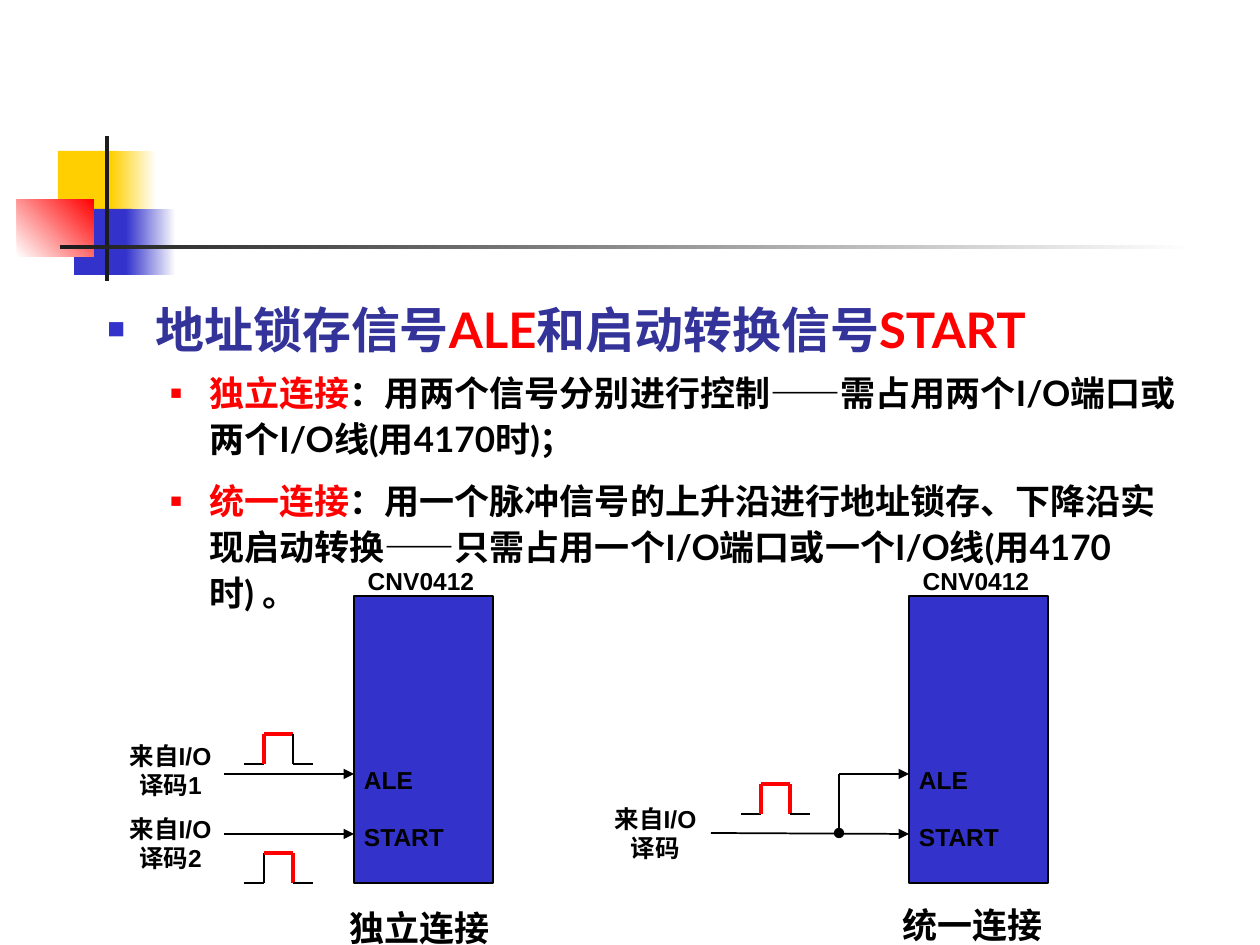
import pptx
import pptx.dml.color
import pptx.enum.shapes
import pptx.enum.text
import pptx.oxml.ns
import pptx.util
from lxml import etree

SCALE = 914400 / 126
HUES = {
    "gold": "FFCF01", "blue": "3333CC", "navy": "333399", "red": "FF0000",
    "white": "FFFFFF", "dark": "1C1C1C", "black": "000000",
}
MID = pptx.enum.text.PP_ALIGN.CENTER
LEFT = pptx.enum.text.PP_ALIGN.LEFT
INSETS = ("margin_left", "margin_top", "margin_right", "margin_bottom")


def emu(*nums):
    """Turn px lengths into EMU."""
    return [round(num * SCALE) for num in nums]


def rgb(hue):
    """Look up a colour by name."""
    return pptx.dml.color.RGBColor.from_string(HUES[hue])


def apply(item, form):
    """Set each attribute of item from a dict of format values."""
    for key, val in form.items():
        setattr(item, key, val)


def node(home, tag, **attrs):
    """Append a drawing element to its parent."""
    return etree.SubElement(home, pptx.oxml.ns.qn("a:" + tag), attrs)


def rect(slide, box, hue, fade=None, angle=0, edge=None):
    """Draw a rectangle with a plain or fading fill."""
    kind = pptx.enum.shapes.MSO_SHAPE.RECTANGLE
    shape = slide.shapes.add_shape(kind, *emu(*box))
    shape.shadow.inherit = False
    if fade:
        shape.fill.gradient()
        shape.fill.gradient_angle = angle
        for stop, tone in zip(shape.fill.gradient_stops, (hue, fade)):
            stop.color.rgb = rgb(tone)
    else:
        shape.fill.solid()
        shape.fill.fore_color.rgb = rgb(hue)
    if edge:
        shape.line.color.rgb = rgb(edge)
        shape.line.width = pptx.util.Pt(1)
    else:
        shape.line.fill.background()


def wire(slide, start, end, hue="black", width=1, tip=None):
    """Draw a straight line, with a tip at its end if asked."""
    kind = pptx.enum.shapes.MSO_CONNECTOR.STRAIGHT
    line = slide.shapes.add_connector(kind, *emu(*start, *end))
    line.line.color.rgb = rgb(hue)
    line.line.width = pptx.util.Pt(width)
    props = line._element.spPr
    if tip:
        node(props.find(pptx.oxml.ns.qn("a:ln")), "tailEnd", type=tip)
    node(props, "effectLst")


def write(para, text, hue, size, face):
    """Add a bold run to a paragraph."""
    run = para.add_run()
    run.text = text
    apply(run.font, {"name": face, "size": pptx.util.Pt(size), "bold": True})
    run.font.color.rgb = rgb(hue)


def label(slide, box, rows, size=14, align=MID, gap=0):
    """Place a label without insets, one paragraph for each row."""
    frame = slide.shapes.add_textbox(*emu(*box)).text_frame
    apply(frame, {"word_wrap": True, **dict.fromkeys(INSETS, 0)})
    for num, row in enumerate(rows):
        para = frame.add_paragraph() if num else frame.paragraphs[0]
        para.alignment = align
        if num:
            para.space_before = pptx.util.Pt(gap)
        write(para, row, "black", size, "Arial")


def decor(slide, box):
    """Draw the coloured blocks and the fading rule."""
    left, top = box[:2]
    parts = [
        ((41, 15, 60, 66), "gold"),
        ((94, 15, 45, 66), "gold", "white"),
        ((57, 73, 58, 66), "blue"),
        ((109, 73, 50, 66), "blue", "white"),
        ((0, 63, 77, 58), "white", "red", 45),
        ((88, 0, 4, 145), "dark"),
        ((43, 109, 1134, 4), "dark", "white"),
    ]
    for (x, y, wide, high), *form in parts:
        rect(slide, (left + x, top + y, wide, high), *form)


def body(slide, box):
    """Write the bulleted text."""
    items = [
        (28, 48, 48, 0, 1.4, "blue", 60, [
            ("地址锁存信号", "navy"), ("ALE", "red"),
            ("和启动转换信号", "navy"), ("START", "red")]),
        (20, 102, 39, 4, 1, "red", 55, [
            ("独立连接", "red"),
            ("：用两个信号分别进行控制——需占用两个I/O端口或两个I/O线(用4170时)；", "black")]),
        (20, 102, 39, 8, 1, "red", 55, [
            ("统一连接", "red"),
            ("：用一个脉冲信号的上升沿进行地址锁存、下降沿实现启动转换——"
             "只需占用一个I/O端口或一个I/O线(用4170时) 。", "black")]),
    ]
    frame = slide.shapes.add_textbox(*emu(*box)).text_frame
    frame.word_wrap = True
    for num, (size, left, hang, fore, aft, dot, part, runs) in enumerate(items):
        para = frame.add_paragraph() if num else frame.paragraphs[0]
        props = para._p.get_or_add_pPr()
        props.set("marL", str(emu(left)[0]))
        props.set("indent", str(emu(-hang)[0]))
        node(node(props, "buClr"), "srgbClr", val=HUES[dot])
        node(props, "buSzPct", val=str(part * 1000))
        node(props, "buFont", typeface="Arial")
        node(props, "buChar", char="■")
        apply(para, {"line_spacing": 1.1, "space_after": pptx.util.Pt(aft)})
        if num:
            para.space_before = pptx.util.Pt(fore)
        for text, hue in runs:
            write(para, text, hue, size, "Lato")


def chip(slide, box):
    """Draw the converter with its name and pins."""
    x, y, wide, high = box
    rect(slide, box, "blue", edge="black")
    label(slide, (x, y - 30, 134, 29), ["CNV0412"])
    label(slide, (x + 10, y + 169, 89, 88), ["ALE", "START"], align=LEFT, gap=16)


def pulse(slide, box, hot):
    """Draw a pulse whose hot segments are thick and red."""
    x, y, wide, high = box
    spots = [(0, high), (20, high), (20, 0), (49, 0), (49, high), (wide, high)]
    spots = [(x + across, y + down) for across, down in spots]
    for num, ends in enumerate(zip(spots, spots[1:])):
        form = ("red", 2.25) if num in hot else ("black", 1)
        wire(slide, *ends, *form)


def split(slide, box):
    """Draw the chip driven by two separate signals."""
    x, y = box[:2]
    chip(slide, (x + 228, y + 30, 139, 287))
    lanes = [(208, 175, 168, (1, 2), "1"), (268, 248, 287, (2, 3), "2")]
    for lane, word, wave, hot, mark in lanes:
        wire(slide, (x + 98, y + lane), (x + 228, y + lane), tip="triangle")
        pulse(slide, (x + 118, y + wave, 69, 30), hot)
        label(slide, (x, y + word, 89, 59), ["来自I/O译码" + mark])
    label(slide, (x + 200, y + 340, 188, 41), ["独立连接"], 20)


def joint(slide, box):
    """Draw the chip driven by one shared signal."""
    x, y = box[:2]
    chip(slide, (x + 298, y + 30, 139, 287))
    wire(slide, (x + 228, y + 208), (x + 298, y + 208), tip="triangle")
    wire(slide, (x + 100, y + 267), (x + 298, y + 268), tip="triangle")
    wire(slide, (x + 228, y + 208), (x + 228, y + 267), tip="oval")
    pulse(slide, (x + 130, y + 218, 69, 30), (1, 2, 3))
    label(slide, (x, y + 238, 89, 59), ["来自I/O译码"])
    label(slide, (x + 268, y + 337, 188, 41), ["统一连接"], 20)


def main():
    """Build and save the slide."""
    deck = pptx.Presentation()
    wide, high = emu(1260, 945)
    apply(deck, {"slide_width": wide, "slide_height": high})
    slide = deck.slides.add_slide(deck.slide_layouts[6])
    decor(slide, (17, 136, 1177, 145))
    body(slide, (95, 287, 1096, 287))
    split(slide, (126, 566, 388, 381))
    joint(slide, (611, 566, 456, 378))
    deck.save("out.pptx")


if __name__ == "__main__":
    main()
